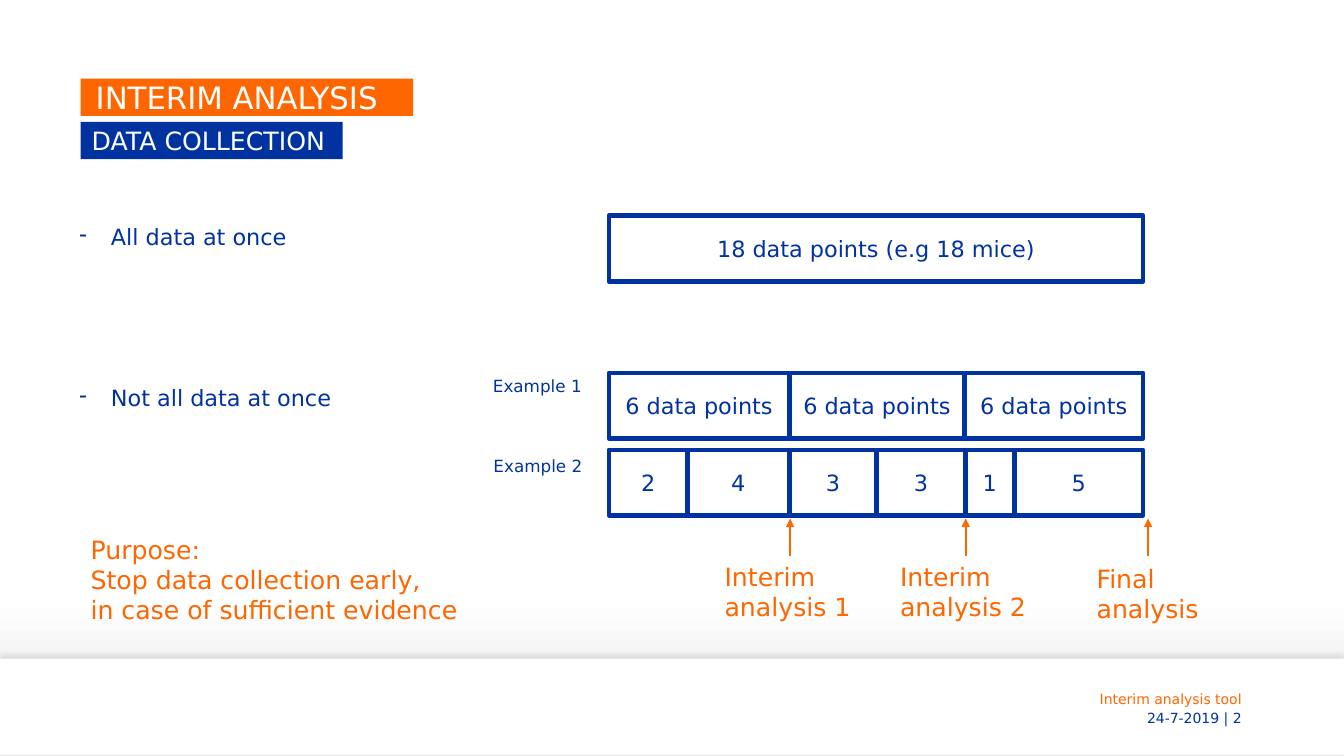
"""Build the slide on data collection in an interim analysis."""
from itertools import pairwise
from lxml.etree import SubElement
from pptx import Presentation
from pptx.dml.color import RGBColor
from pptx.enum.shapes import MSO_CONNECTOR, MSO_SHAPE
from pptx.enum.text import MSO_ANCHOR, PP_ALIGN
from pptx.oxml.ns import qn
from pptx.util import Pt

BLUE = RGBColor(0x00, 0x33, 0xA0)
ORANGE = RGBColor(0xFF, 0x66, 0x00)
WHITE = RGBColor(0xFF, 0xFF, 0xFF)
GREY = RGBColor(0xED, 0xED, 0xED)
FONT = "DejaVu Sans"

deck = Presentation()
deck.slide_width, deck.slide_height = Pt(960), Pt(540)
slide = deck.slides.add_slide(deck.slide_layouts[6])
shapes = slide.shapes


def write(shape, lines, size, color, align=PP_ALIGN.LEFT, anchor=MSO_ANCHOR.TOP):
    frame = shape.text_frame
    frame.word_wrap = True
    frame.vertical_anchor = anchor
    for i, line in enumerate(lines):
        para = frame.add_paragraph() if i else frame.paragraphs[0]
        para.alignment = align
        run = para.add_run()
        run.text = line
        run.font.name = FONT
        run.font.size = Pt(size)
        run.font.color.rgb = color
    return frame


def block(left, top, width, height, fill, edge=None):
    shape = shapes.add_shape(MSO_SHAPE.RECTANGLE, Pt(left), Pt(top), Pt(width), Pt(height))
    shape.shadow.inherit = False
    shape.fill.solid()
    shape.fill.fore_color.rgb = fill
    if edge is None:
        shape.line.fill.background()
    else:
        shape.line.color.rgb = edge
        shape.line.width = Pt(3.5)
    return shape


back = slide.background.fill
back.gradient()
back.gradient_angle = 270
for stop, place, color in zip(back.gradient_stops, (0.79, 0.92), (WHITE, GREY)):
    stop.position = place
    stop.color.rgb = color

band = block(0, 470.5, 960, 68.5, WHITE)
effects = band._element.spPr.find(qn("a:effectLst"))
shade = SubElement(effects, qn("a:outerShdw"), blurRad=str(Pt(4)), dist=str(Pt(3)),
                   dir="16200000", algn="b", rotWithShape="0")
tint = SubElement(shade, qn("a:srgbClr"), val="000000")
SubElement(tint, qn("a:alpha"), val="10000")

for text, top, color in (("Interim analysis tool", 493, ORANGE), ("24-7-2019 | 2", 506, BLUE)):
    note = shapes.add_textbox(Pt(678), Pt(top), Pt(216), Pt(13))
    frame = write(note, [text], 10, color, PP_ALIGN.RIGHT, MSO_ANCHOR.MIDDLE)
    frame.margin_top = frame.margin_bottom = 0

for text, top, width, size, fill, inset in (
    ("INTERIM ANALYSIS", 56.2, 237.6, 22, ORANGE, 10.8),
    ("DATA COLLECTION", 87.1, 187.2, 18, BLUE, 7.9),
):
    head = block(57.6, top, width, 26.6, fill)
    frame = write(head, [text], size, WHITE, anchor=MSO_ANCHOR.MIDDLE)
    frame.margin_left = Pt(inset)
    frame.margin_right = frame.margin_top = frame.margin_bottom = 0

modes = shapes.add_textbox(Pt(49.7), Pt(157), Pt(285.8), Pt(211.7))
frame = write(modes, ["All data at once", "Not all data at once"], 16, BLUE)
frame.paragraphs[1].space_before = Pt(97)
for para in frame.paragraphs:
    para.line_spacing = 0.95
    props = para._p.get_or_add_pPr()
    props.set("marL", str(Pt(22.5)))
    props.set("indent", str(-Pt(22.5)))
    SubElement(props, qn("a:buChar"), char="-")

rows = (
    (154, (435, 816.5), ["18 data points (e.g 18 mice)"]),
    (266.4, (435, 563.8, 689, 816.5), ["6 data points"] * 3),
    (321.4, (435, 491, 563.8, 626.4, 689.4, 724.6, 816.5), "243315"),
)
for top, edges, labels in rows:
    for (left, right), label in zip(pairwise(edges), labels):
        cell = block(left, top, right - left, 46.8, WHITE, BLUE)
        frame = write(cell, [label], 16, BLUE, PP_ALIGN.CENTER, MSO_ANCHOR.MIDDLE)
        frame.margin_left = frame.margin_right = 0

for lines, left, top, width, height, size, color in (
    (["Example 1"], 345, 265, 80.6, 21.6, 12, BLUE),
    (["Example 2"], 345.4, 322, 80.6, 21.6, 12, BLUE),
    (["Purpose:", "Stop data collection early,", "in case of sufficient evidence"],
     57.6, 378, 406.8, 72.7, 18, ORANGE),
    (["Interim", "analysis 1"], 510.5, 397.4, 108, 51, 18, ORANGE),
    (["Interim", "analysis 2"], 635.8, 397.4, 108, 51, 18, ORANGE),
    (["Final", "analysis"], 776.2, 398.5, 87.8, 51, 18, ORANGE),
):
    label = shapes.add_textbox(Pt(left), Pt(top), Pt(width), Pt(height))
    write(label, lines, size, color)

for x in (564.4, 689.8, 820.1):
    arrow = shapes.add_connector(MSO_CONNECTOR.STRAIGHT, Pt(x), Pt(397.4), Pt(x), Pt(370.4))
    arrow.line.color.rgb = ORANGE
    arrow.line.width = Pt(1.5)
    SubElement(arrow.line._get_or_add_ln(), qn("a:tailEnd"), type="triangle")
    SubElement(arrow._element.spPr, qn("a:effectLst"))

deck.save("out.pptx")
